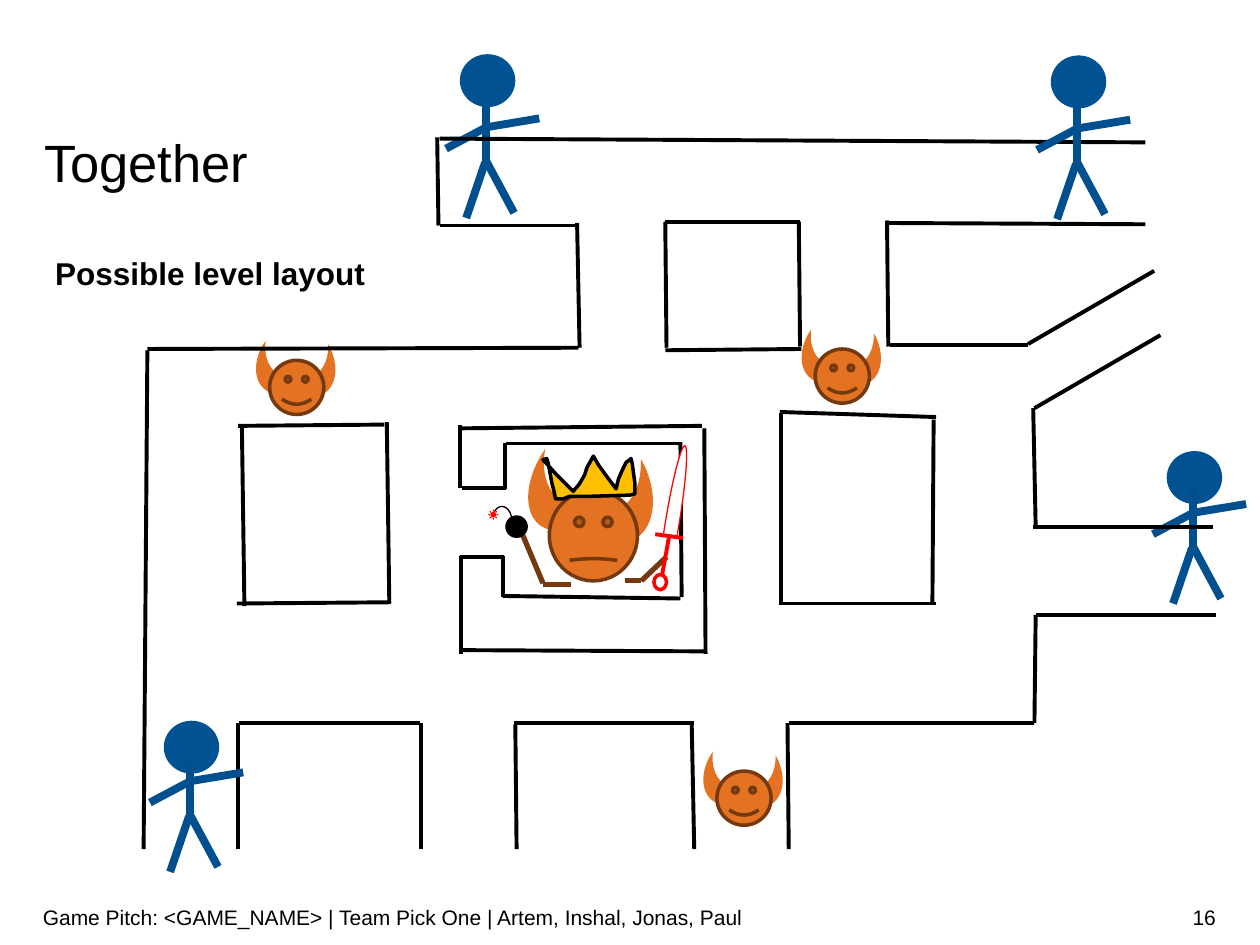
from lxml.etree import SubElement
from pptx import Presentation
from pptx.dml.color import RGBColor
from pptx.enum.shapes import MSO_CONNECTOR, MSO_SHAPE
from pptx.enum.text import MSO_ANCHOR, PP_ALIGN
from pptx.oxml.ns import qn
from pptx.util import Cm, Pt

BLACK, WHITE, RED = "000000", "FFFFFF", "FF0000"
ORANGE, BROWN, GOLD = "E37222", "74390F", "FFC000"
HEAD_BLUE, LIMB_BLUE = "005293", "005090"

LOWER_WALLS = [
    (3.34, 6.74, 3.34, 5.74), (4.1, 6.74, 4.09, 5.75), (3.33, 5.74, 1.9, 5.74),
    (5.51, 5.74, 4.08, 5.74), (5.51, 6.74, 5.49, 5.75), (6.26, 6.74, 6.25, 5.74),
    (8.21, 5.74, 6.26, 5.74), (1.89, 6.74, 1.89, 5.74), (1.14, 6.74, 1.17, 2.78),
]
ROOM_WALLS = [
    (3.1, 4.78, 1.88, 4.79), (1.94, 4.81, 1.92, 3.38), (3.05, 3.37, 1.89, 3.38),
    (3.09, 4.79, 3.07, 3.35), (4.59, 2.76, 1.17, 2.77), (7.4, 4.79, 7.41, 3.33),
    (6.2, 4.8, 6.2, 3.28), (7.43, 4.79, 6.2, 4.79), (7.43, 3.31, 6.19, 3.27),
    (8.22, 4.18, 8.2, 3.24), (9.65, 4.88, 8.22, 4.88), (9.63, 4.18, 8.2, 4.18),
    (8.21, 5.74, 8.22, 4.88), (9.21, 2.66, 8.21, 3.24),
]
UPPER_WALLS = [
    (4.6, 2.76, 4.58, 1.77), (5.29, 2.76, 5.28, 1.76), (6.35, 1.76, 5.28, 1.76),
    (9.09, 1.13, 3.49, 1.1), (4.58, 1.79, 3.49, 1.79), (3.48, 1.79, 3.47, 1.09),
    (6.35, 2.75, 6.34, 1.76), (7.05, 2.75, 7.04, 1.75), (6.36, 2.77, 5.28, 2.78),
    (8.16, 2.74, 7.06, 2.74), (9.09, 1.78, 7.04, 1.77), (9.16, 2.15, 8.16, 2.73),
]
LAIR_WALLS = [
    (3.65, 3.87, 3.65, 3.37), (3.66, 5.19, 3.66, 4.41), (4.02, 3.87, 3.67, 3.87),
    (4, 4.42, 3.65, 4.42), (5.57, 3.38, 3.64, 3.4), (4.01, 3.88, 4.01, 3.52),
    (3.99, 4.74, 3.99, 4.41), (5.61, 5.17, 3.67, 5.16), (5.6, 5.19, 5.59, 3.4),
    (5.41, 3.52, 4.02, 3.52), (5.4, 4.75, 3.99, 4.73), (5.41, 4.74, 5.4, 3.51),
]
LIMBS = [
    (0.21, 0, 0.21, 0.48), (0.2, 0.48, 0.05, 0.92), (0.21, 0.47, 0.43, 0.88),
    (0.21, 0.2, 0.63, 0.13), (-0.11, 0.37, 0.21, 0.2),
]
BOSS_ARMS = [
    (4.96, 4.61, 5.09, 4.61), (5.09, 4.61, 5.29, 4.42),
    (4.53, 4.64, 4.31, 4.64), (4.31, 4.63, 4.15, 4.25),
]
CROWN = [
    (4.31, 3.65), (4.33, 3.67), (4.42, 3.77), (4.48, 3.83), (4.55, 3.9),
    (4.6, 3.84), (4.64, 3.77), (4.66, 3.71), (4.71, 3.62), (4.75, 3.69),
    (4.83, 3.8), (4.89, 3.88), (4.91, 3.8), (4.94, 3.73), (4.97, 3.67),
    (5.01, 3.64), (5.02, 3.69), (5.04, 3.84), (5.04, 3.92), (5, 3.93),
    (4.66, 3.94), (4.52, 3.94), (4.47, 3.96), (4.41, 3.96), (4.4, 3.91),
    (4.38, 3.83), (4.36, 3.72), (4.35, 3.67), (4.34, 3.64),
]


def inches(*values):
    return [Cm(value * 2.54) for value in values]


def color(value):
    return RGBColor.from_string(value)


def paint(shape, fill=None, line=None, width=2):
    shape.shadow.inherit = False
    if fill:
        shape.fill.solid()
        shape.fill.fore_color.rgb = color(fill)
    else:
        shape.fill.background()
    if line:
        shape.line.color.rgb = color(line)
        shape.line.width = Pt(width)
    else:
        shape.line.fill.background()


def add_preset(page, kind, place, fill=None, line=None, width=2, turn=0, adjust=()):
    shape = page.shapes.add_shape(kind, *inches(*place))
    paint(shape, fill, line, width)
    shape.rotation = turn
    for index, value in enumerate(adjust):
        shape.adjustments[index] = value


def add_lines(page, segments, stroke=BLACK, width=2.25):
    for segment in segments:
        line = page.shapes.add_connector(MSO_CONNECTOR.STRAIGHT, *inches(*segment))
        line.line.color.rgb = color(stroke)
        line.line.width = Pt(width)
        SubElement(line._element.spPr, qn("a:effectLst"))


def format_text(box, text, size, bold=False, align=PP_ALIGN.LEFT, anchor=MSO_ANCHOR.TOP):
    frame = box.text_frame
    frame.text = text
    frame.word_wrap = True
    frame.vertical_anchor = anchor
    para = frame.paragraphs[0]
    para.alignment = align
    for span in para.runs:
        span.font.name = "Arial"
        span.font.size = Pt(size)
        span.font.bold = bold
        span.font.color.rgb = color(BLACK)


def add_title(page, text):
    title = page.shapes.title
    title.left, title.top, title.width, title.height = inches(0.35, 1.09, 9.31, 0.45)
    format_text(title, text, 30)
    frame = title.text_frame
    frame.margin_left = frame.margin_right = frame.margin_top = frame.margin_bottom = 0
    frame.paragraphs[0].line_spacing = Pt(32)


def add_footer(page, place, text, align=PP_ALIGN.LEFT):
    box = page.shapes.add_textbox(*inches(*place))
    format_text(box, text, 12, align=align, anchor=MSO_ANCHOR.MIDDLE)
    box.text_frame.margin_left = box.text_frame.margin_right = 0


def add_player(page, left, top, neck):
    add_preset(page, MSO_SHAPE.OVAL, (left, top, 0.44, 0.42), HEAD_BLUE)
    limbs = [(left + x1, top + neck + y1, left + x2, top + neck + y2)
             for x1, y1, x2, y2 in LIMBS]
    add_lines(page, limbs, LIMB_BLUE, 4.5)


def add_demon(page, left_horn, right_horn, face, smile):
    add_preset(page, MSO_SHAPE.MOON, left_horn, ORANGE, turn=305.1)
    add_preset(page, MSO_SHAPE.MOON, right_horn, ORANGE, turn=240.1)
    add_preset(page, MSO_SHAPE.SMILEY_FACE, face, ORANGE, BROWN, adjust=[smile])


def add_small_demon(page, left, top):
    add_demon(page, (left - 0.1, top - 0.12, 0.32, 0.45),
              (left + 0.19, top - 0.1, 0.32, 0.45), (left, top, 0.43, 0.43), 0.05)


def add_crown(page):
    points = [inches(*point) for point in CROWN]
    builder = page.shapes.build_freeform(*points[0])
    builder.add_line_segments(points[1:], close=True)
    paint(builder.convert_to_shape(), GOLD, BLACK)


def add_bomb(page):
    add_preset(page, MSO_SHAPE.OVAL, (4.01, 4.09, 0.18, 0.18), BLACK)
    add_preset(page, MSO_SHAPE.ARC, (3.91, 4.02, 0.15, 0.2), None, BLACK, 0.75,
               356.8, [136.3, 0])
    add_preset(page, MSO_SHAPE.SUN, (3.87, 4.04, 0.09, 0.09), RED)


def add_sword(page):
    add_lines(page, [(5.25, 4.59, 5.31, 4.26)], RED)
    add_preset(page, MSO_SHAPE.OVAL, (5.19, 4.56, 0.1, 0.12), WHITE, RED)
    add_lines(page, [(5.42, 4.27, 5.2, 4.24)], RED)
    add_preset(page, MSO_SHAPE.ARC, (5.28, 3.53, 0.11, 1.25), WHITE, RED, 0.75,
               9.3, [73.71, 33.91])


def add_boss(page):
    add_demon(page, (4.18, 3.64, 0.52, 0.64), (4.64, 3.69, 0.53, 0.72),
              (4.36, 3.89, 0.7, 0.72), -0.01)
    add_crown(page)
    add_lines(page, BOSS_ARMS, BROWN, 3)
    add_bomb(page)
    add_sword(page)


def main():
    deck = Presentation()
    deck.slide_width, deck.slide_height = inches(10, 7.5)
    page = deck.slides.add_slide(deck.slide_layouts[5])
    add_title(page, "Together")
    subtitle = page.shapes.add_textbox(*inches(0.34, 1.97, 9.17, 0.4))
    format_text(subtitle, "Possible level layout", 18, bold=True)
    add_lines(page, LOWER_WALLS)
    add_player(page, 1.3, 5.72, 0.28)
    for left, top in [(6.47, 2.77), (2.14, 2.86), (5.69, 6.12)]:
        add_small_demon(page, left, top)
    add_player(page, 9.26, 3.58, 0.29)
    add_lines(page, ROOM_WALLS)
    add_player(page, 3.65, 0.43, 0.38)
    add_lines(page, UPPER_WALLS + LAIR_WALLS)
    add_player(page, 8.34, 0.44, 0.38)
    add_boss(page)
    add_footer(page, (0.34, 7.08, 7.07, 0.4),
               "Game Pitch: <GAME_NAME> | Team Pick One | Artem, Inshal, Jonas, Paul")
    add_footer(page, (7.41, 7.08, 2.24, 0.4), "16", PP_ALIGN.RIGHT)
    deck.save("out.pptx")


if __name__ == "__main__":
    main()
